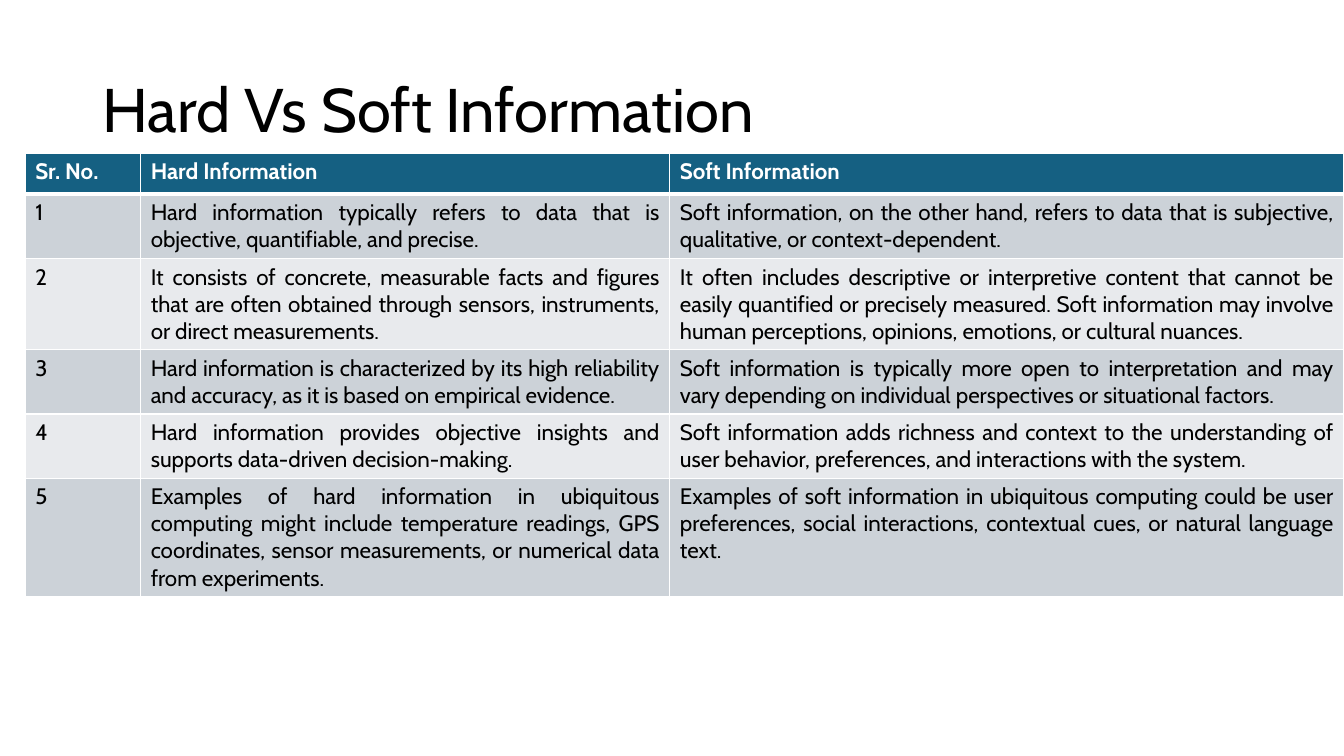
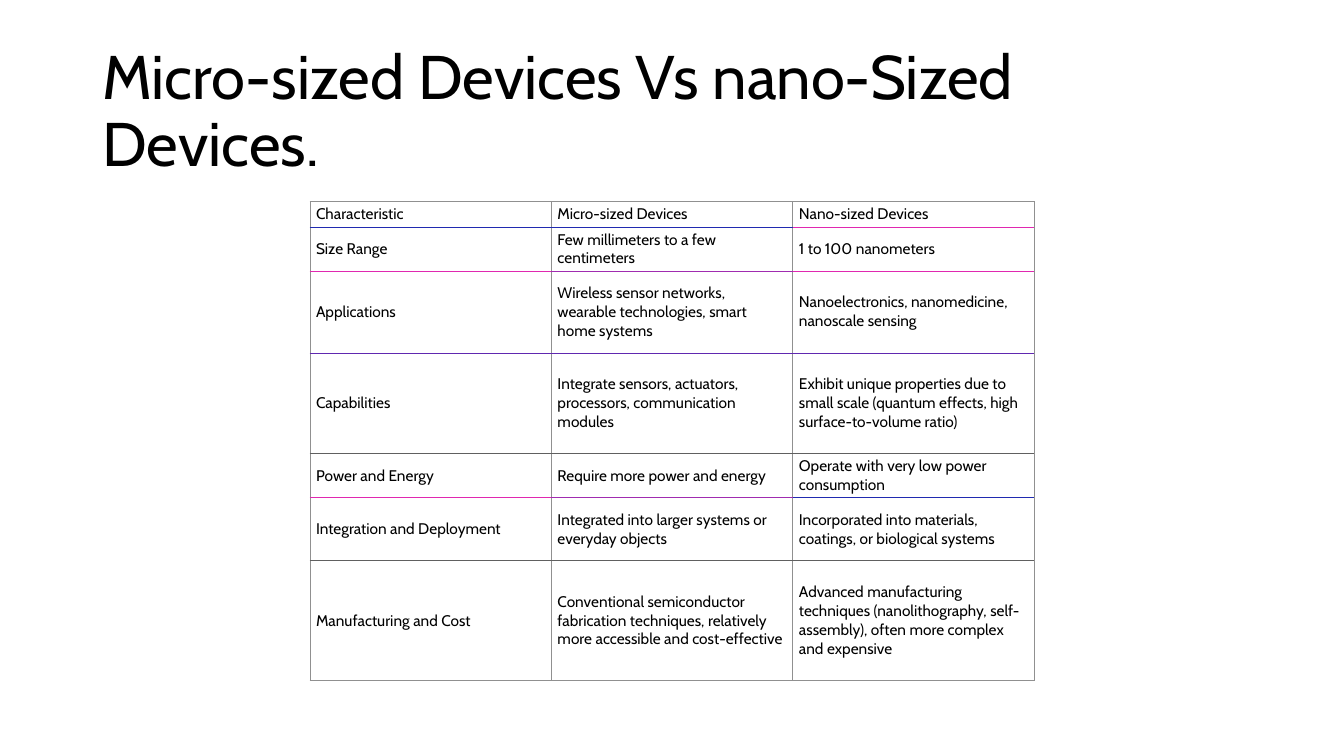
from lxml.etree import SubElement
from pptx import Presentation
from pptx.dml.color import RGBColor
from pptx.enum.text import MSO_ANCHOR as Anchor, MSO_AUTO_SIZE as AutoSize, PP_ALIGN as Align
from pptx.oxml.ns import qn
from pptx.util import Pt

PX = 9525
FONT = "Cabin"
BLACK = RGBColor(0x00, 0x00, 0x00)
WHITE = RGBColor(0xFF, 0xFF, 0xFF)
TEAL = RGBColor(0x15, 0x60, 0x82)
DARK_BAND = RGBColor(0xCC, 0xD2, 0xD8)
LIGHT_BAND = RGBColor(0xE8, 0xEA, 0xED)
GREY = RGBColor(0x90, 0x90, 0x90)
DARK_GREY = RGBColor(0x60, 0x60, 0x60)
BLUE = RGBColor(0x20, 0x2A, 0xB0)
PINK = RGBColor(0xE0, 0x28, 0xB0)
PURPLE = RGBColor(0x60, 0x28, 0xB0)
VIOLET = RGBColor(0xA0, 0x2C, 0xB0)

TITLE_FONT = {"name": FONT, "size": Pt(44), "bold": False}
TITLE_FRAME = {"vertical_anchor": Anchor.MIDDLE, "word_wrap": True, "auto_size": AutoSize.NONE}
TITLE_PLACE = {"left": 88 * PX, "top": 38 * PX, "width": 1104 * PX, "height": 139 * PX}

deck = Presentation()
deck.slide_width, deck.slide_height = 1280 * PX, 720 * PX
layout = deck.slide_layouts[5]
for name, value in TITLE_PLACE.items():
    setattr(layout.placeholders[0], name, value)


def add_table_page(title, texts, left, top, widths, heights):
    page = deck.slides.add_slide(layout)
    frame = page.shapes.title.text_frame
    frame.text = title
    for name, value in TITLE_FRAME.items():
        setattr(frame, name, value)
    para = frame.paragraphs[0]
    para.alignment, para.line_spacing = Align.LEFT, 0.9
    for name, value in TITLE_FONT.items():
        setattr(para.font, name, value)
    para.font.color.rgb = BLACK

    table = page.shapes.add_table(
        len(texts), len(widths), left * PX, top * PX, sum(widths) * PX, sum(heights) * PX
    ).table
    table.horz_banding = False
    for column, width in zip(table.columns, widths):
        column.width = width * PX
    for row, height in zip(table.rows, heights):
        row.height = height * PX
    return table


def style_cell(cell, text, size, bold, color, align, borders):
    cell.text = text
    para = cell.text_frame.paragraphs[0]
    para.alignment = align
    for name, value in {"name": FONT, "size": Pt(size), "bold": bold}.items():
        setattr(para.font, name, value)
    para.font.color.rgb = color
    properties = cell._tc.get_or_add_tcPr()
    for side, (line_color, points) in zip("LRTB", borders):
        line = SubElement(properties, qn(f"a:ln{side}"), w=str(Pt(points)))
        solid = SubElement(line, qn("a:solidFill"))
        SubElement(solid, qn("a:srgbClr"), val=str(line_color))


information = [
    ("Sr. No.", "Hard Information", "Soft Information"),
    ("1",
     "Hard information typically refers to data that is objective, quantifiable, and precise.",
     "Soft information, on the other hand, refers to data that is subjective, qualitative, "
     "or context-dependent."),
    ("2",
     "It consists of concrete, measurable facts and figures that are often obtained through "
     "sensors, instruments, or direct measurements.",
     "It often includes descriptive or interpretive content that cannot be easily quantified "
     "or precisely measured. Soft information may involve human perceptions, opinions, "
     "emotions, or cultural nuances."),
    ("3",
     "Hard information is characterized by its high reliability and accuracy, as it is based "
     "on empirical evidence.",
     "Soft information is typically more open to interpretation and may vary depending on "
     "individual perspectives or situational factors."),
    ("4",
     "Hard information provides objective insights and supports data-driven decision-making.",
     "Soft information adds richness and context to the understanding of user behavior, "
     "preferences, and interactions with the system."),
    ("5",
     "Examples of hard information in ubiquitous computing might include temperature readings, "
     "GPS coordinates, sensor measurements, or numerical data from experiments.",
     "Examples of soft information in ubiquitous computing could be user preferences, social "
     "interactions, contextual cues, or natural language text."),
]
table = add_table_page(
    "Hard Vs Soft Information", information, 24, 146, [110, 504, 642], [39] * len(information)
)
for r, texts in enumerate(information):
    header = r == 0
    thin, thick = (WHITE, 1), (WHITE, 3)
    borders = [thin, thin, thick if r == 1 else thin, thick if header else thin]
    for c, text in enumerate(texts):
        cell = table.cell(r, c)
        align = Align.LEFT if header or c == 0 else Align.JUSTIFY
        style_cell(cell, text, 16, header, WHITE if header else BLACK, align, borders)
        cell.fill.solid()
        cell.fill.fore_color.rgb = TEAL if header else (LIGHT_BAND, DARK_BAND)[r % 2]

devices = [
    ("Characteristic", "Micro-sized Devices", "Nano-sized Devices"),
    ("Size Range", "Few millimeters to a few centimeters", "1 to 100 nanometers"),
    ("Applications",
     "Wireless sensor networks, wearable technologies, smart home systems",
     "Nanoelectronics, nanomedicine, nanoscale sensing"),
    ("Capabilities",
     "Integrate sensors, actuators, processors, communication modules",
     "Exhibit unique properties due to small scale (quantum effects, high "
     "surface-to-volume ratio)"),
    ("Power and Energy", "Require more power and energy",
     "Operate with very low power consumption"),
    ("Integration and Deployment",
     "Integrated into larger systems or everyday objects",
     "Incorporated into materials, coatings, or biological systems"),
    ("Manufacturing and Cost",
     "Conventional semiconductor fabrication techniques, relatively more accessible and "
     "cost-effective",
     "Advanced manufacturing techniques (nanolithography, self-assembly), often more complex "
     "and expensive"),
]
row_lines = [
    (GREY, GREY, GREY),
    (BLUE, BLUE, PINK),
    (PINK, VIOLET, PINK),
    (PURPLE, PURPLE, PURPLE),
    (DARK_GREY, DARK_GREY, DARK_GREY),
    (PINK, VIOLET, BLUE),
    (DARK_GREY, DARK_GREY, DARK_GREY),
    (GREY, GREY, GREY),
]
CELL_FRAME = {
    "margin_left": 6 * PX, "margin_right": 6 * PX, "margin_top": 3 * PX,
    "margin_bottom": 3 * PX, "vertical_anchor": Anchor.MIDDLE,
}
table = add_table_page(
    "Micro-sized Devices Vs nano-Sized Devices.", devices, 295, 192, [230] * 3,
    [24, 42, 78, 96, 42, 60, 114],
)
for r, texts in enumerate(devices):
    for c, text in enumerate(texts):
        cell = table.cell(r, c)
        colors = [GREY, GREY, row_lines[r][c], row_lines[r + 1][c]]
        style_cell(cell, text, 11, False, BLACK, Align.LEFT, [(color, 0.38) for color in colors])
        cell.fill.background()
        for name, value in CELL_FRAME.items():
            setattr(cell, name, value)

deck.save("out.pptx")
